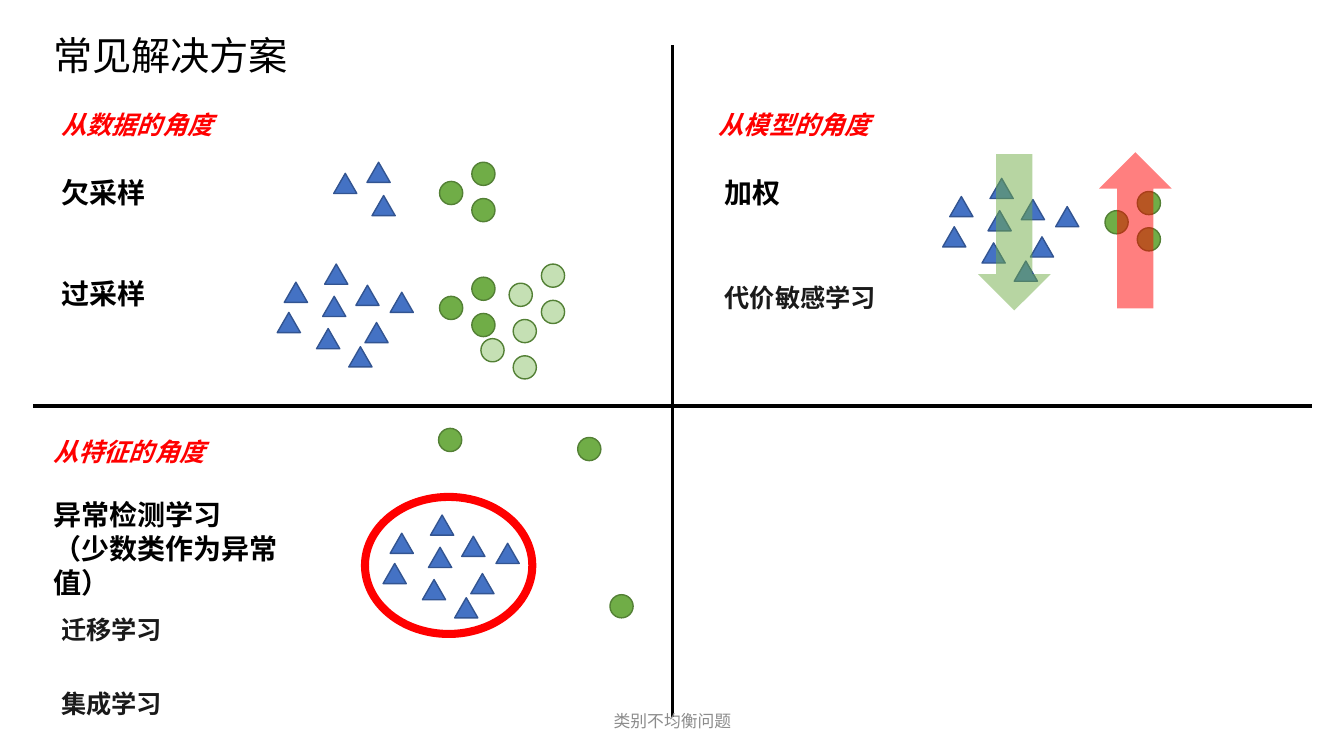
from dataclasses import dataclass

import pptx
import pptx.dml.color
import pptx.enum.shapes
import pptx.enum.text
import pptx.oxml
import pptx.oxml.ns
import pptx.util

PX = 9144  # EMU per px, 100 px to the inch
SHAPE = pptx.enum.shapes.MSO_SHAPE
COLORS = {
    "black": "000000", "ink": "1A1A1A", "footer": "8C8C8C", "red": "FF0000",
    "majority": "4472C4", "majority_line": "325491",
    "minority": "70AD47", "synthetic": "C5E0B4", "minority_line": "538035",
}
CJK = "Noto Sans CJK SC"


@dataclass(frozen=True)
class Marker:
    preset: int
    width: int
    height: int
    fill: str
    line: str


@dataclass(frozen=True)
class Cluster:
    left: int
    top: int
    marker: Marker
    offsets: tuple


@dataclass(frozen=True)
class Label:
    text: str
    box: tuple
    style: dict


MAJORITY = Marker(SHAPE.ISOSCELES_TRIANGLE, 23, 20, "majority", "majority_line")
MINORITY = Marker(SHAPE.OVAL, 23, 23, "minority", "minority_line")
SYNTHETIC = Marker(SHAPE.OVAL, 23, 23, "synthetic", "minority_line")

# Marker positions inside a cluster
ALL_MAJORITY = ((7, 18), (0, 48), (45, 32), (39, 64), (47, 0),
                (78, 21), (87, 58), (112, 28), (71, 82))
FEW_MAJORITY = ((0, 11), (33, 0), (38, 33))
TRIO = ((32, 36), (32, 0), (0, 19))
OUTLIERS = ((170, 165), (138, 9), (0, 0))

CLUSTERS = (
    # Undersampling
    Cluster(331, 161, MAJORITY, FEW_MAJORITY),
    Cluster(436, 161, MINORITY, TRIO),
    # Oversampling
    Cluster(275, 262, MAJORITY, ALL_MAJORITY),
    Cluster(436, 275, MINORITY, TRIO),
    Cluster(505, 262, SYNTHETIC, TRIO),
    Cluster(477, 317, SYNTHETIC, TRIO),
    # Weighting
    Cluster(935, 177, MAJORITY, ALL_MAJORITY),
    Cluster(1096, 190, MINORITY, TRIO),
    # Anomaly detection
    Cluster(380, 511, MAJORITY, ALL_MAJORITY),
    Cluster(435, 425, MINORITY, OUTLIERS),
)

HEADING = dict(size=18, color="red", bold=True, italic=True)
METHOD = dict(size=20, bold=True)
TOPIC = dict(size=18, font="Lato", color="ink", bold=True, wrap=True)
LABELS = (
    Label("常见解决方案", (43, 26, 256, 57), dict(size=28)),
    Label("从数据的角度", (51, 104, 172, 40), HEADING),
    Label("从模型的角度", (703, 104, 172, 40), HEADING),
    Label("从特征的角度", (43, 428, 172, 40), HEADING),
    Label("欠采样", (51, 169, 104, 44), METHOD),
    Label("过采样", (51, 269, 104, 44), METHOD),
    Label("加权", (709, 169, 76, 44), METHOD),
    Label("异常检测学习\n（少数类作为异常值）", (43, 489, 271, 77), dict(METHOD, wrap=True)),
    Label("代价敏感学习", (709, 275, 193, 40), TOPIC),
    Label("迁移学习", (51, 605, 193, 40), TOPIC),
    Label("集成学习", (51, 678, 193, 40), TOPIC),
)


def px(*values: int) -> list:
    return [pptx.util.Emu(value * PX) for value in values]


def rgb(name: str) -> pptx.dml.color.RGBColor:
    return pptx.dml.color.RGBColor.from_string(COLORS[name])


def add_text(slide, text: str, box: tuple, *, size: int, font: str = CJK,
             color: str = "black", bold: bool = False, italic: bool = False,
             wrap: bool = False, grow: bool = True, centered: bool = False) -> None:
    frame = slide.shapes.add_textbox(*px(*box)).text_frame
    frame.word_wrap = wrap
    if grow:
        frame.auto_size = pptx.enum.text.MSO_AUTO_SIZE.SHAPE_TO_FIT_TEXT
    if centered:
        frame.vertical_anchor = pptx.enum.text.MSO_ANCHOR.MIDDLE
    frame.text = text
    for paragraph in frame.paragraphs:
        if centered:
            paragraph.alignment = pptx.enum.text.PP_ALIGN.CENTER
        for run in paragraph.runs:
            run.font.size = pptx.util.Pt(size)
            run.font.name = font
            run.font.bold = bold
            run.font.italic = italic
            run.font.color.rgb = rgb(color)
            east_asian = pptx.oxml.parse_xml(
                f'<a:ea {pptx.oxml.ns.nsdecls("a")} typeface="{font}"/>')
            run.font._element.find(pptx.oxml.ns.qn("a:latin")).addnext(east_asian)


def add_figure(shapes, preset: int, box: tuple, *, fill: str = "", line: str = "",
               line_width: float = 1, alpha: int = 100, rotation: int = 0) -> None:
    shape = shapes.add_shape(preset, *px(*box))
    shape.shadow.inherit = False
    shape.rotation = rotation
    if fill:
        shape.fill.solid()
        shape.fill.fore_color.rgb = rgb(fill)
    else:
        shape.fill.background()
    if alpha < 100:
        color = shape._element.spPr.find(".//" + pptx.oxml.ns.qn("a:srgbClr"))
        color.append(pptx.oxml.parse_xml(
            f'<a:alpha {pptx.oxml.ns.nsdecls("a")} val="{alpha * 1000}"/>'))
    if line:
        shape.line.color.rgb = rgb(line)
        shape.line.width = pptx.util.Pt(line_width)
    else:
        shape.line.fill.background()


def add_cluster(slide, cluster: Cluster) -> None:
    group = slide.shapes.add_group_shape()
    marker = cluster.marker
    for x, y in cluster.offsets:
        box = (cluster.left + x, cluster.top + y, marker.width, marker.height)
        add_figure(group.shapes, marker.preset, box, fill=marker.fill, line=marker.line)


def add_quadrants(slide) -> None:
    table = slide.shapes.add_table(2, 2, *px(33, 45, 1268, 666)).table
    table.first_row = table.horz_banding = False
    for row, height in zip(table.rows, px(358, 308)):
        row.height = height
    for column in table.columns:
        column.width = px(634)[0]
    for row in range(2):
        for column in range(2):
            cell = table.cell(row, column)
            cell.fill.background()
            inner = ("R" if column == 0 else "L", "B" if row == 0 else "T")
            for index, side in enumerate("LRTB"):
                paint = (f'<a:solidFill><a:srgbClr val="{COLORS["black"]}"/></a:solidFill>'
                         if side in inner else "<a:noFill/>")
                border = pptx.oxml.parse_xml(
                    f'<a:ln{side} {pptx.oxml.ns.nsdecls("a")} w="{pptx.util.Pt(3)}">'
                    f'{paint}</a:ln{side}>')
                cell._tc.get_or_add_tcPr().insert(index, border)


def main() -> None:
    presentation = pptx.Presentation()
    presentation.slide_width, presentation.slide_height = px(1333, 750)
    slide = presentation.slides.add_slide(presentation.slide_layouts[6])

    # Quadrant grid and footer
    add_quadrants(slide)
    add_text(slide, "类别不均衡问题", (442, 695, 450, 40), size=12, color="footer",
             wrap=True, grow=False, centered=True)

    # Headings and methods
    for label in LABELS:
        add_text(slide, label.text, label.box, **label.style)

    # Sample clusters
    for cluster in CLUSTERS:
        add_cluster(slide, cluster)

    # Weight arrows and the boundary of normal samples
    add_figure(slide.shapes, SHAPE.DOWN_ARROW, (970, 153, 72, 155), fill="minority", alpha=50)
    add_figure(slide.shapes, SHAPE.DOWN_ARROW, (1090, 151, 72, 155), fill="red",
               alpha=50, rotation=180)
    add_figure(slide.shapes, SHAPE.OVAL, (362, 493, 166, 136), line="red", line_width=5.75)

    presentation.save("out.pptx")


if __name__ == "__main__":
    main()
